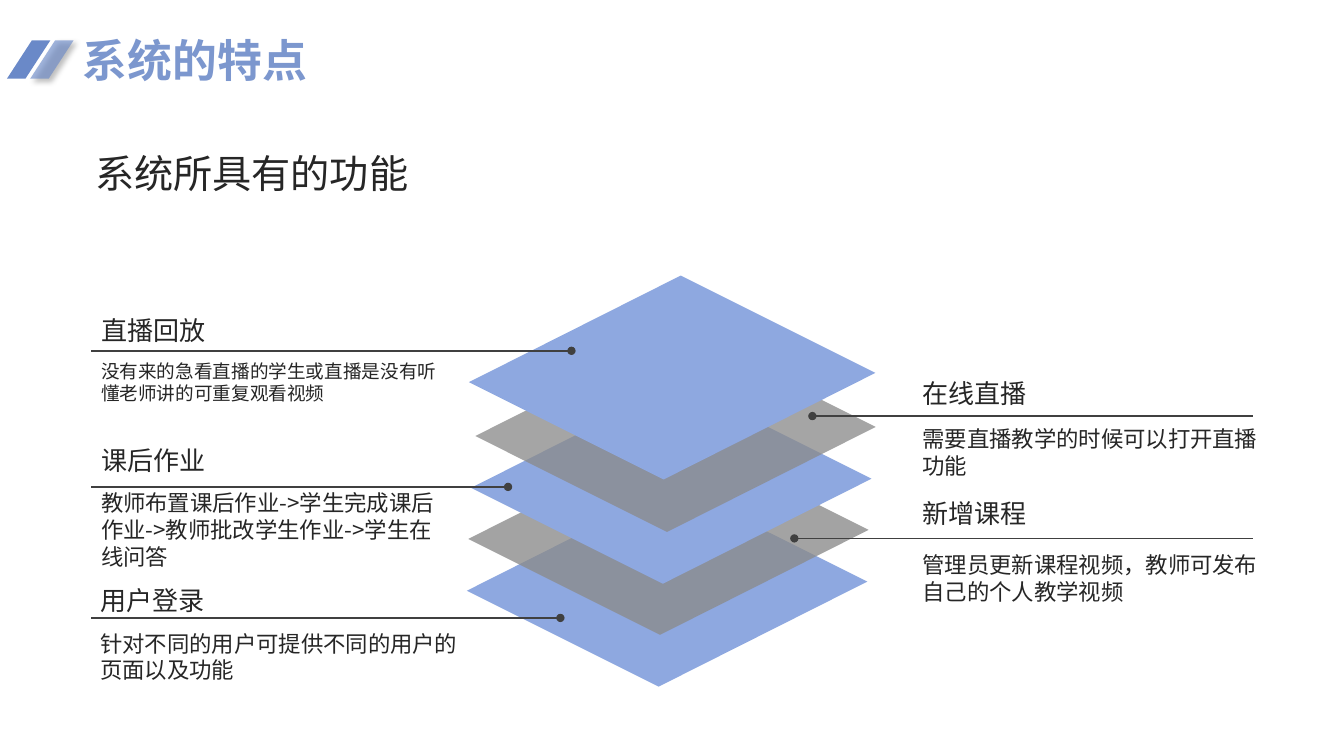
"""Build the slide on system features: five stacked layers with callouts."""
from lxml import etree
from pptx import Presentation
from pptx.dml.color import RGBColor
from pptx.enum.shapes import MSO_CONNECTOR, MSO_SHAPE
from pptx.enum.text import MSO_AUTO_SIZE
from pptx.oxml import parse_xml
from pptx.oxml.ns import nsdecls, qn
from pptx.util import Pt

FONT = "Noto Sans CJK SC"
TITLE_BLUE = RGBColor(0x7C, 0x97, 0xCE)
ACCENT_BLUE = RGBColor(0x6A, 0x89, 0xC8)
LAYER_BLUE = RGBColor(0x8E, 0xA8, 0xE0)
LAYER_GRAY = RGBColor(0x8B, 0x8B, 0x8B)
TEXT_DARK = RGBColor(0x26, 0x26, 0x26)
LINE_GRAY = RGBColor(0x40, 0x40, 0x40)

presentation = Presentation()
presentation.slide_width, presentation.slide_height = Pt(960), Pt(540)
slide = presentation.slides.add_slide(presentation.slide_layouts[6])


def paint(shape, color, opacity=100):
    """Give a shape a flat fill, with no line and no shadow."""
    shape.shadow.inherit = False
    shape.line.fill.background()
    shape.fill.solid()
    shape.fill.fore_color.rgb = color
    if opacity < 100:
        fill_color = shape.fill._xPr.find(qn("a:solidFill"))[0]
        etree.SubElement(fill_color, qn("a:alpha")).set("val", str(opacity * 1000))


def add_text(text, left, top, width, height, size, color=TEXT_DARK, bold=False, wrap=True):
    """Add a text box holding one run."""
    box = slide.shapes.add_textbox(Pt(left), Pt(top), Pt(width), Pt(height))
    frame = box.text_frame
    frame.word_wrap = wrap
    frame.auto_size = MSO_AUTO_SIZE.SHAPE_TO_FIT_TEXT
    frame.margin_left = frame.margin_right = Pt(9.6)
    frame.margin_top = frame.margin_bottom = Pt(4.8)
    run = frame.paragraphs[0].add_run()
    run.text = text
    run.font.name, run.font.size, run.font.bold = FONT, Pt(size), bold
    run.font.color.rgb = color
    properties = run._r.get_or_add_rPr()
    properties.append(parse_xml(f'<a:ea {nsdecls("a")} typeface="{FONT}"/>'))


for left, opacity in ((21.6, 63), (5, 100)):
    slash = slide.shapes.add_shape(MSO_SHAPE.PARALLELOGRAM, Pt(left), Pt(28.8), Pt(31), Pt(27.4))
    slash.adjustments[0] = 0.65
    paint(slash, ACCENT_BLUE, opacity)
    if opacity < 100:
        effects = slash._element.spPr.find(qn("a:effectLst"))
        effects.append(parse_xml(
            f'<a:outerShdw {nsdecls("a")} blurRad="{Pt(4)}" dist="{Pt(3)}" dir="2700000" algn="tl">'
            '<a:srgbClr val="000000"><a:alpha val="40000"/></a:srgbClr></a:outerShdw>'))

add_text("系统的特点", 49.7, 18.7, 180, 48.2, 32, TITLE_BLUE, bold=True, wrap=False)
add_text("系统所具有的功能", 58.3, 102.2, 243.4, 43.2, 28, wrap=False)

layers = [
    (333.5, 422, 1, LAYER_BLUE, 100),
    (334.5, 385, 1, LAYER_GRAY, 79),
    (336.5, 348.5, 1, LAYER_BLUE, 100),
    (339.5, 311.5, 1, LAYER_GRAY, 77),
    (335, 273, 1.015, LAYER_BLUE, 100),
]
DIAMOND_OFFSETS = ((149, -75), (286, -6.5), (137, 68.5))
for left, middle, scale, color, opacity in layers:
    builder = slide.shapes.build_freeform(Pt(left), Pt(middle))
    corners = [(Pt(left + x * scale), Pt(middle + y * scale)) for x, y in DIAMOND_OFFSETS]
    builder.add_line_segments(corners, close=True)
    paint(builder.convert_to_shape(), color, opacity)

callouts = [
    ("直播回放", 62.6, 219.6, "没有来的急看直播的学生或直播是没有听懂老师讲的可重复观看视频",
     252, 260, 41.8, 13.3, 408.2, 64.8, 250.6),
    ("课后作业", 62.6, 312.5, "教师布置课后作业->学生完成课后作业->教师批改学生作业->学生在线问答",
     344.9, 260, 67.7, 16, 362.9, 64.8, 347.8),
    ("用户登录", 62, 412.6, "针对不同的用户可提供不同的用户的页面以及功能",
     445, 275, 48.2, 16, 400.3, 64.8, 441.4),
    ("在线直播", 649.4, 265, "需要直播教学的时候可以打开直播功能",
     298.8, 262.8, 48.2, 16, 580.3, 895, 297.2),
    ("新增课程", 649.4, 350.6, "管理员更新课程视频，教师可发布自己的个人教学视频",
     388.8, 262.1, 48.2, 16, 567.4, 895, 384.6),
]
for (heading, left, heading_top, body, body_top, body_width, body_height, body_size,
     dot_x, end_x, line_y) in callouts:
    connector = slide.shapes.add_connector(
        MSO_CONNECTOR.STRAIGHT, Pt(dot_x), Pt(line_y), Pt(end_x), Pt(line_y))
    connector.line.color.rgb = LINE_GRAY
    connector.line.width = Pt(1)
    etree.SubElement(connector.line._get_or_add_ln(), qn("a:headEnd")).set("type", "oval")
    etree.SubElement(connector._element.spPr, qn("a:effectLst"))
    add_text(body, left, body_top, body_width, body_height, body_size)
    add_text(heading, left, heading_top, 176, 32.4, 18.6)

presentation.save("out.pptx")
